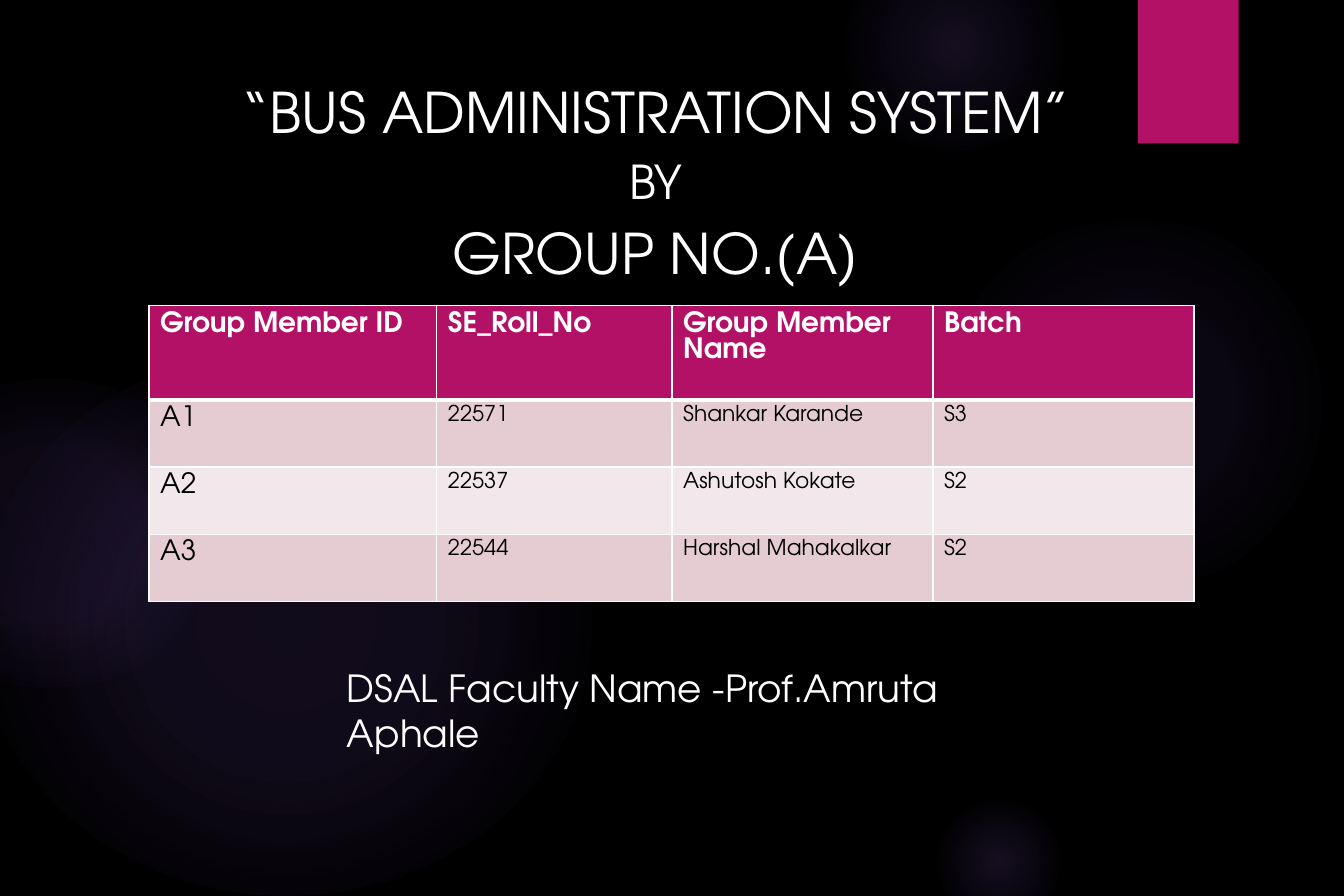
from dataclasses import dataclass

from lxml import etree
from pptx import Presentation
from pptx.dml.color import RGBColor
from pptx.enum.shapes import MSO_SHAPE
from pptx.enum.text import MSO_ANCHOR, MSO_AUTO_SIZE, PP_ALIGN
from pptx.oxml import parse_xml
from pptx.oxml.ns import nsdecls, qn
from pptx.util import Inches, Pt

OVAL, RECTANGLE = MSO_SHAPE.OVAL, MSO_SHAPE.RECTANGLE
TOP, CENTER = MSO_ANCHOR.TOP, PP_ALIGN.CENTER
NO_AUTOFIT = MSO_AUTO_SIZE.NONE
TITLE_ONLY = 5


@dataclass(frozen=True)
class Theme:
    font: str = "TeX Gyre Adventor"
    back: str = "000000"
    light: str = "FFFFFF"
    dark: str = "000000"
    accent: str = "B31166"
    glow: str = "9B6BF2"
    bands: tuple = ("E5CCD3", "F2E7EA")
    key_size: int = 18
    cell_size: int = 14
    faculty_size: int = 24


THEME = Theme()

# text, size, space before
TITLE_LINES = [
    ("“BUS ADMINISTRATION SYSTEM”", 36, 8.7),
    ("BY", 30, 5.4),
    ("GROUP NO.(A)", 36, 6.5),
]
MEMBERS = [
    ("Group Member ID", "SE_Roll_No", "Group Member Name", "Batch"),
    ("A1", "22571", "Shankar Karande", "S3"),
    ("A2", "22537", "Ashutosh Kokate", "S2"),
    ("A3", "22544", "Harshal Mahakalkar", "S2"),
]
FACULTY = "DSAL Faculty Name -Prof.Amruta Aphale"

# left, top, width, height, then (position %, opacity %) stops
GLOWS = [
    ((8.27, 1.96, 3.7, 3.29), ((0, 7), (36, 6), (69, 0))),
    ((7.47, -0.53, 2.1, 1.87), ((0, 14), (36, 7), (73, 0))),
    ((8.27, 7.11, 1.3, 1.16), ((0, 14), (36, 7), (66, 0))),
    ((-0.2, 3.11, 5.5, 4.89), ((0, 11), (36, 10), (75, 0))),
    ((-1.1, 3.38, 3.1, 2.76), ((0, 8), (36, 8), (72, 0))),
]
TAB_BOX = (10.16, 0, 0.9, 1.28)
TITLE_BOX = (0.23, 0.63, 11.25, 2)
TABLE_BOX = (1.33, 2.73, 9.34, 2.64)
FACULTY_BOX = (3, 5.89, 6.4, 0.5)
COLUMN_WIDTHS = (2.57, 2.1, 2.33, 2.33)
HEADER_HEIGHT, ROW_HEIGHT = 0.84, 0.6


def inches(box):
    return [Inches(length) for length in box]


def style_para(para, size, color, bold=False):
    for span in para.runs:
        span.font.name = THEME.font
        span.font.size = Pt(size)
        span.font.bold = bold
        span.font.color.rgb = RGBColor.from_string(color)


def add_plain_shape(page, kind, box, color):
    shape = page.shapes.add_shape(kind, *inches(box))
    shape.shadow.inherit = False
    shape.line.fill.background()
    shape.fill.solid()
    shape.fill.fore_color.rgb = RGBColor.from_string(color)
    return shape


def add_glow(page, box, stops):
    """Add an ellipse that fades from its centre outwards."""
    glow = add_plain_shape(page, OVAL, box, THEME.glow)
    stop_xml = "".join(
        f'<a:gs pos="{position * 1000}"><a:srgbClr val="{THEME.glow}">'
        f'<a:alpha val="{opacity * 1000}"/></a:srgbClr></a:gs>'
        for position, opacity in stops
    )
    gradient = parse_xml(
        f'<a:gradFill {nsdecls("a")} rotWithShape="1"><a:gsLst>{stop_xml}</a:gsLst>'
        '<a:path path="circle"><a:fillToRect l="50000" t="50000" r="50000" b="50000"/>'
        "</a:path></a:gradFill>"
    )
    properties = glow._element.spPr
    properties.replace(properties.find(qn("a:solidFill")), gradient)


def set_borders(cell, top, bottom):
    """Draw the four cell borders; they must come before the fill."""
    properties = cell._tc.get_or_add_tcPr()
    widths = {"lnL": 1, "lnR": 1, "lnT": top, "lnB": bottom}
    for index, (side, width) in enumerate(widths.items()):
        line = etree.Element(qn(f"a:{side}"), w=str(Pt(width)))
        fill = etree.SubElement(line, qn("a:solidFill"))
        etree.SubElement(fill, qn("a:srgbClr"), val=THEME.light)
        properties.insert(index, line)


def add_title(page):
    title = page.shapes.title
    title.left, title.top, title.width, title.height = inches(TITLE_BOX)
    frame = title.text_frame
    frame.auto_size = NO_AUTOFIT
    frame.vertical_anchor = TOP
    frame.margin_left = frame.margin_right = Inches(0.11)
    frame.margin_top = frame.margin_bottom = Inches(0.06)
    frame.text = "\n".join(text for text, _, _ in TITLE_LINES)
    for para, (_, size, space) in zip(frame.paragraphs, TITLE_LINES):
        para.alignment = CENTER
        para.space_before = Pt(space)
        style_para(para, size, THEME.light)
    page.shapes._spTree.append(title._element)  # bring in front of the glows


def add_members(page):
    table = page.shapes.add_table(
        len(MEMBERS), len(COLUMN_WIDTHS), *inches(TABLE_BOX)
    ).table
    for column, width in zip(table.columns, COLUMN_WIDTHS):
        column.width = Inches(width)
    for row, texts in enumerate(MEMBERS):
        header = row == 0
        table.rows[row].height = Inches(HEADER_HEIGHT if header else ROW_HEIGHT)
        fill = THEME.accent if header else THEME.bands[(row - 1) % 2]
        color = THEME.light if header else THEME.dark
        for column, text in enumerate(texts):
            cell = table.cell(row, column)
            cell.text = text
            cell.fill.solid()
            cell.fill.fore_color.rgb = RGBColor.from_string(fill)
            set_borders(cell, 3 if row == 1 else 1, 3 if header else 1)
            large = header or column == 0
            size = THEME.key_size if large else THEME.cell_size
            style_para(cell.text_frame.paragraphs[0], size, color, header)


def add_faculty(page):
    frame = page.shapes.add_textbox(*inches(FACULTY_BOX)).text_frame
    frame.word_wrap = True
    frame.text = FACULTY
    style_para(frame.paragraphs[0], THEME.faculty_size, THEME.light)


def main():
    deck = Presentation()
    deck.slide_width, deck.slide_height = Inches(12), Inches(8)
    page = deck.slides.add_slide(deck.slide_layouts[TITLE_ONLY])
    page.background.fill.solid()
    page.background.fill.fore_color.rgb = RGBColor.from_string(THEME.back)
    for box, stops in GLOWS:
        add_glow(page, box, stops)
    add_plain_shape(page, RECTANGLE, TAB_BOX, THEME.accent)
    add_title(page)
    add_members(page)
    add_faculty(page)
    deck.save("out.pptx")


if __name__ == "__main__":
    main()
